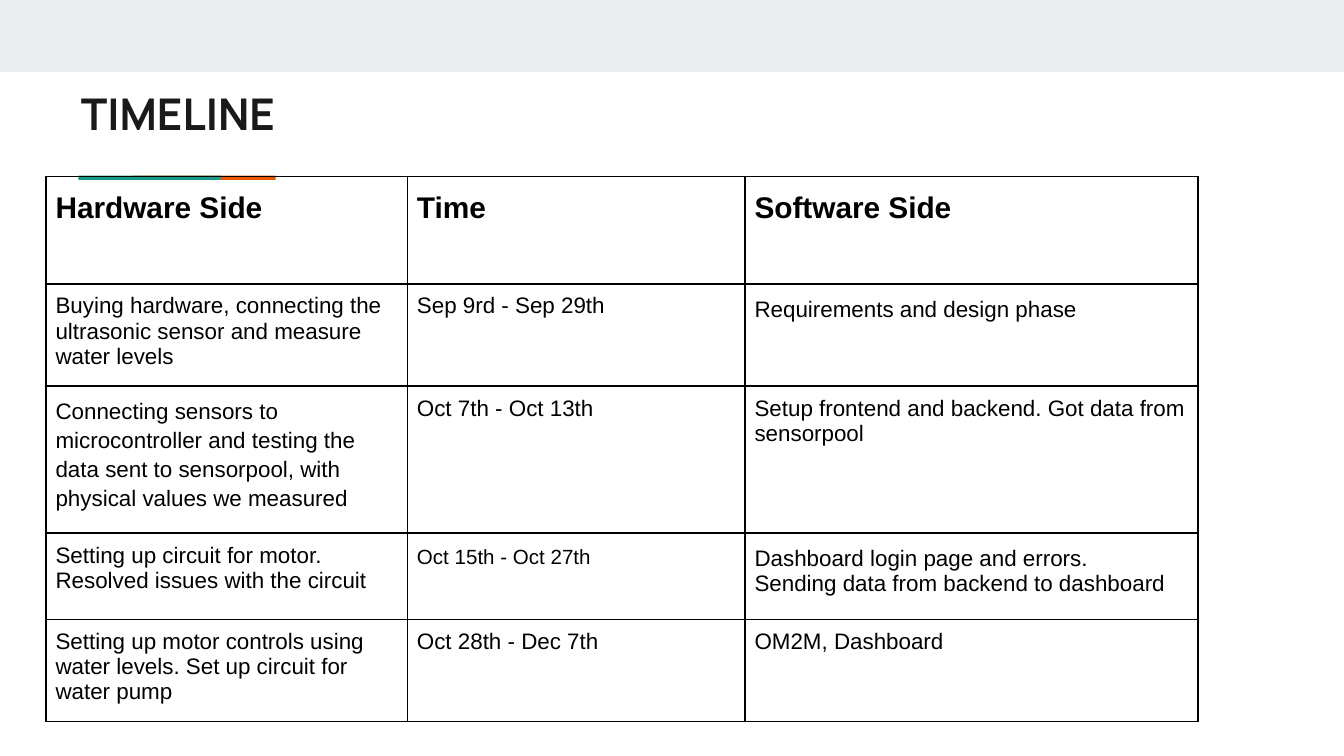
from dataclasses import dataclass

from lxml import etree
from pptx import Presentation
from pptx.dml.color import RGBColor
from pptx.enum.shapes import MSO_SHAPE
from pptx.enum.text import MSO_ANCHOR
from pptx.oxml.ns import qn
from pptx.util import Cm, Pt

RECTANGLE = MSO_SHAPE.RECTANGLE
MIDDLE = MSO_ANCHOR.MIDDLE

MIST = RGBColor(0xE9, 0xED, 0xEE)
TEAL = RGBColor(0x1A, 0x99, 0x88)
ORANGE = RGBColor(0xEB, 0x56, 0x00)
INK = RGBColor(0x1A, 0x1A, 0x1A)
BLACK = RGBColor(0, 0, 0)

LOOSE = 1.15
CELL_MARGIN = Cm(0.18)
COLUMN_WIDTHS = (6.83, 6.38, 8.56)
ROW_HEIGHTS = (2.03, 1.93, 2.78, 1.63, 1.93)


@dataclass(frozen=True)
class Bar:
    left: float
    top: float
    width: float
    height: float
    color: RGBColor


@dataclass(frozen=True)
class Line:
    text: str
    size: float = 12
    spacing: float = 1.0
    bold: bool = False
    before: float = 0
    after: float = 0


def heading(text: str) -> list[Line]:
    return [Line(text, 16, LOOSE, True, 18, 6)]


# The teal accent overlaps the left part of the orange one.
BARS = (
    Bar(0, 0, 25.4, 1.36, MIST),
    Bar(2.51, 3.32, 2.7, 0.08, ORANGE),
    Bar(1.48, 3.32, 2.7, 0.08, TEAL),
)

TIMELINE = (
    (heading("Hardware Side"), heading("Time"), heading("Software Side")),
    (
        [Line("Buying hardware, connecting the ultrasonic sensor and measure water levels")],
        [Line("Sep 9rd - Sep 29th")],
        [Line("Requirements and design phase", spacing=LOOSE)],
    ),
    (
        [Line("Connecting sensors to microcontroller and testing the data sent to "
              "sensorpool, with physical values we measured", spacing=LOOSE)],
        [Line("Oct 7th - Oct 13th")],
        [Line("Setup frontend and backend. Got data from sensorpool")],
    ),
    (
        [Line("Setting up circuit for motor. Resolved issues with the circuit")],
        [Line("Oct 15th - Oct 27th", 11, LOOSE)],
        [Line("Dashboard login page and errors.", spacing=LOOSE),
         Line("Sending data from backend to dashboard")],
    ),
    (
        [Line("Setting up motor controls using water levels. Set up circuit for water pump")],
        [Line("Oct 28th - Dec 7th")],
        [Line("OM2M, Dashboard")],
    ),
)


def draw_bar(slide, bar: Bar) -> None:
    shape = slide.shapes.add_shape(
        RECTANGLE, Cm(bar.left), Cm(bar.top), Cm(bar.width), Cm(bar.height))
    shape.shadow.inherit = False
    shape.fill.solid()
    shape.fill.fore_color.rgb = bar.color
    shape.line.fill.background()


def style_font(paragraph, name: str, size: float, color: RGBColor, bold: bool) -> None:
    font = paragraph.font
    font.name, font.size, font.bold = name, Pt(size), bold
    font.color.rgb = color


def draw_title(slide, text: str) -> None:
    box = slide.shapes.add_textbox(Cm(1.28), Cm(1.38), Cm(21.36), Cm(1.5))
    frame = box.text_frame
    frame.word_wrap = True
    frame.vertical_anchor = MIDDLE
    frame.margin_left = frame.margin_right = Cm(0.25)
    frame.margin_top = frame.margin_bottom = Cm(0.25)
    paragraph = frame.paragraphs[0]
    paragraph.text = text
    style_font(paragraph, "Manrope", 23.4, INK, True)


def add_borders(cell) -> None:
    properties = cell._tc.get_or_add_tcPr()
    for side in ("lnL", "lnR", "lnT", "lnB"):
        border = etree.SubElement(properties, qn(f"a:{side}"), w=str(Pt(1)))
        fill = etree.SubElement(border, qn("a:solidFill"))
        etree.SubElement(fill, qn("a:srgbClr"), val=str(BLACK))


def fill_cell(cell, lines: list[Line]) -> None:
    add_borders(cell)
    cell.fill.background()
    cell.margin_left = cell.margin_right = CELL_MARGIN
    cell.margin_top = cell.margin_bottom = CELL_MARGIN
    frame = cell.text_frame
    for index, line in enumerate(lines):
        paragraph = frame.add_paragraph() if index else frame.paragraphs[0]
        paragraph.text = line.text
        paragraph.line_spacing = line.spacing
        paragraph.space_before = Pt(line.before)
        paragraph.space_after = Pt(line.after)
        style_font(paragraph, "Arial", line.size, BLACK, line.bold)


def draw_timeline(slide) -> None:
    table = slide.shapes.add_table(
        len(ROW_HEIGHTS), len(COLUMN_WIDTHS), Cm(0.87), Cm(3.34),
        Cm(sum(COLUMN_WIDTHS)), Cm(sum(ROW_HEIGHTS))).table
    table.first_row = table.horz_banding = False
    for column, width in zip(table.columns, COLUMN_WIDTHS):
        column.width = Cm(width)
    for row, height, contents in zip(table.rows, ROW_HEIGHTS, TIMELINE):
        row.height = Cm(height)
        for cell, lines in zip(row.cells, contents):
            fill_cell(cell, lines)


def main() -> None:
    deck = Presentation()
    deck.slide_width, deck.slide_height = Cm(25.4), Cm(14.29)
    slide = deck.slides.add_slide(deck.slide_layouts[6])
    for bar in BARS:
        draw_bar(slide, bar)
    draw_title(slide, "TIMELINE")
    draw_timeline(slide)
    deck.save("out.pptx")


if __name__ == "__main__":
    main()
